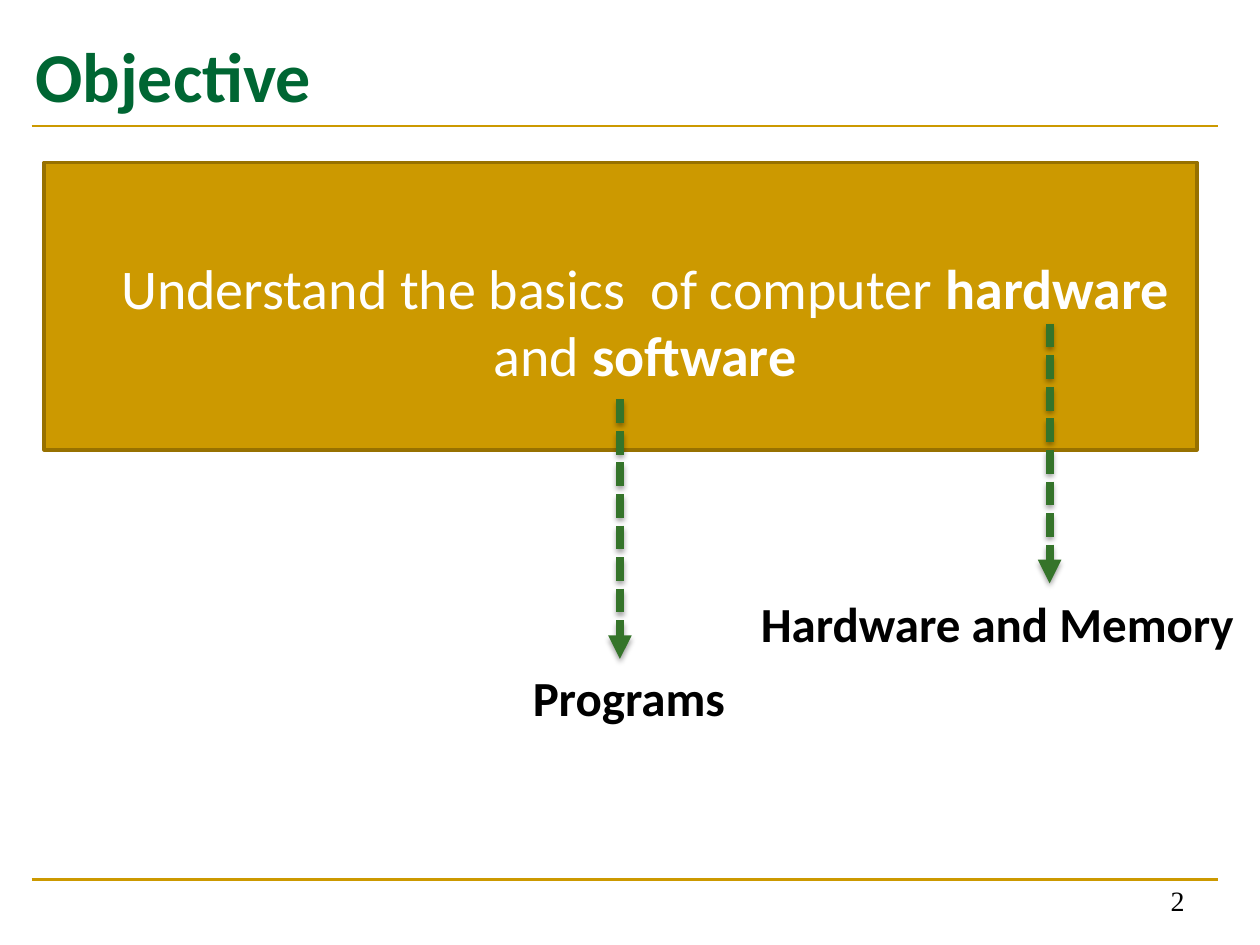
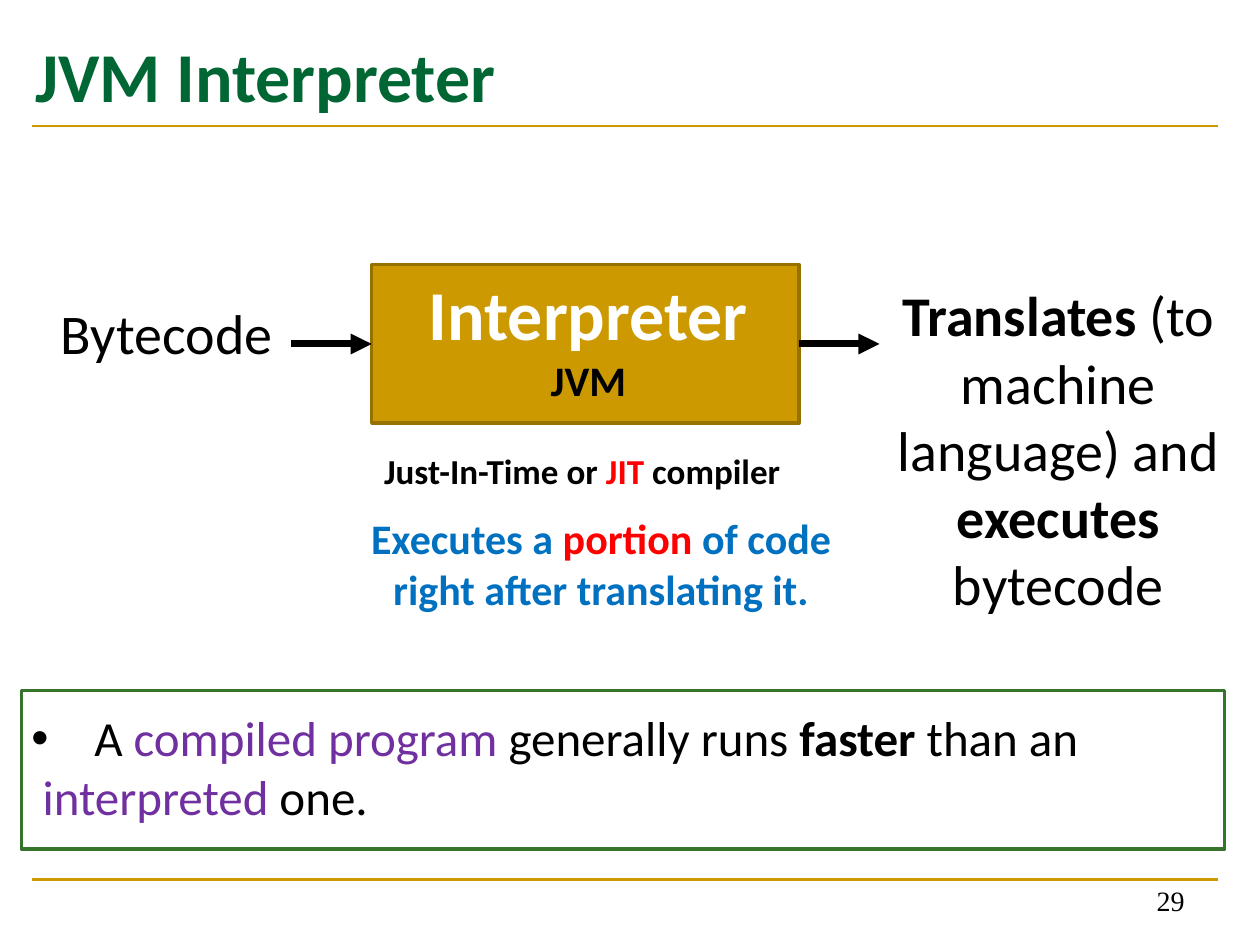
from lxml.etree import SubElement
from pptx import Presentation
from pptx.dml.color import RGBColor
from pptx.enum.dml import MSO_LINE_DASH_STYLE as Dash
from pptx.enum.shapes import MSO_CONNECTOR as Connector, MSO_SHAPE as Shape
from pptx.enum.text import MSO_ANCHOR as Anchor, MSO_AUTO_SIZE as AutoSize, PP_ALIGN as Align
from pptx.oxml.ns import qn
from pptx.util import Inches, Pt

COLOURS = {
    "gold": "CC9900", "dark gold": "977100", "title green": "006633",
    "green": "35742A", "white": "FFFFFF", "black": "000000",
    "red": "FF0000", "blue": "0070C0", "purple": "7030A0",
}
COLUMNS, ROWS = 100, 75
TITLE_ONLY = 5


def colour(name):
    return RGBColor.from_string(COLOURS[name])


class Board:
    """Holds the deck style and the current slide; lengths are grid columns and rows."""

    font = "Calibri"

    def __init__(self):
        self.deck = Presentation()
        self.deck.slide_width, self.deck.slide_height = Inches(10), Inches(7.5)
        self.page = None

    def place(self, across, down):
        return (round(self.deck.slide_width * across / COLUMNS),
                round(self.deck.slide_height * down / ROWS))

    def area(self, left, top, width, height):
        return self.place(left, top) + self.place(width, height)

    def start(self, title, number):
        self.page = self.deck.slides.add_slide(self.deck.slide_layouts[TITLE_ONLY])
        for row in (69.8, 10):
            self.line((2.5, row), (96.7, row), "gold", 1.5)
        box = self.page.shapes.title
        box.left, box.top, box.width, box.height = self.area(1.8, 2.1, 95.5, 11.7)
        self.set_lines(box, [[(title, "title green", True)]], 40, Align.LEFT)
        self.text((71.7, 68.3, 23.3, 5), [[(number, "black", False)]], 16, Align.RIGHT,
                  anchor=Anchor.BOTTOM, font="Times New Roman")

    def set_lines(self, box, lines, size, align, wrap=True, anchor=Anchor.TOP, font=None):
        """Fill a box with lines, each a list of (text, colour, bold) spans."""
        frame = box.text_frame
        frame.auto_size, frame.word_wrap, frame.vertical_anchor = AutoSize.NONE, wrap, anchor
        for index, line in enumerate(lines):
            para = frame.add_paragraph() if index else frame.paragraphs[0]
            para.alignment = align
            for words, ink, bold in line:
                span = para.add_run()
                span.text = words
                span.font.name, span.font.size = font or self.font, Pt(size)
                span.font.bold, span.font.color.rgb = bold, colour(ink)

    def text(self, area, lines, size, align=Align.CENTER, **options):
        box = self.page.shapes.add_textbox(*self.area(*area))
        self.set_lines(box, lines, size, align, **options)
        return box.text_frame.paragraphs

    def indent(self, para, margin, first=0, bullet=None):
        properties = para._p.get_or_add_pPr()
        properties.set("marL", str(self.place(margin, 0)[0]))
        properties.set("indent", str(self.place(first, 0)[0]))
        if bullet:
            SubElement(properties, qn("a:buFont"), typeface="Arial")
            SubElement(properties, qn("a:buChar"), char=bullet)

    def panel(self, area, edge, fill=None):
        panel = self.page.shapes.add_shape(Shape.RECTANGLE, *self.area(*area))
        panel.shadow.inherit = False
        if fill:
            panel.fill.solid()
            panel.fill.fore_color.rgb = colour(fill)
        else:
            panel.fill.background()
        panel.line.color.rgb, panel.line.width = colour(edge), Pt(2)

    def line(self, start, end, ink, width):
        """Draw a plain line; return it with its empty effect list."""
        line = self.page.shapes.add_connector(
            Connector.STRAIGHT, *self.place(*start), *self.place(*end))
        line.line.color.rgb, line.line.width = colour(ink), Pt(width)
        return line, SubElement(line._element.spPr, qn("a:effectLst"))

    def arrow(self, start, end, ink, width):
        line, effects = self.line(start, end, ink, width)
        SubElement(line.line._get_or_add_ln(), qn("a:tailEnd"), type="triangle")
        return line, effects

    def dashed_arrow(self, column, row):
        """Drop a dashed, softly shadowed arrow from a word to its label."""
        line, effects = self.arrow((column, row), (column, row + 20.6), "green", 4.5)
        line.line.dash_style = Dash.SQUARE_DOT
        shadow = SubElement(effects, qn("a:outerShdw"), blurRad=str(Pt(3.1)),
                            dist=str(Pt(1.8)), dir="5400000", rotWithShape="0")
        tint = SubElement(shadow, qn("a:srgbClr"), val=COLOURS["black"])
        SubElement(tint, qn("a:alpha"), val="35000")


def objective(board):
    board.start("Objective", "2")
    board.panel((3.5, 12.9, 91.5, 22.8), "dark gold", "gold")
    goal = board.text((2.2, 19.6, 94.2, 53.3), [[
        ("Understand the basics  of computer", "white", False), (" hardware ", "white", True),
        ("and ", "white", False), ("software", "white", True)]], 32)
    board.indent(goal[0], 3.8)
    for label, area, column, row in (
            ("Hardware and Memory", (59.4, 46.6, 40.8, 5.7), 83.3, 25.7),
            ("Programs", (41.3, 52.5, 18.1, 5.7), 49.2, 31.7)):
        board.dashed_arrow(column, row)
        board.text(area, [[(label, "black", True)]], 28, Align.LEFT, wrap=False)


def interpreter(board):
    board.start("JVM Interpreter", "29")
    left, width, middle, reach = 29.5, 33.9, 27.3, 6.4
    board.panel((left, 21, width, 12.6), "dark gold", "gold")
    names = board.text((32.9, 21, 27.6, 11.8), [
        [("Interpreter", "white", True)], [("JVM", "black", True)]], 40, wrap=False)
    names[1].runs[0].font.size = Pt(24)
    for start in (left - reach, left + width):
        board.arrow((start, middle), (start + reach, middle), "black", 4)
    board.text((2.6, 23.2, 21.3, 6.4), [[("Bytecode", "black", False)]], 32)
    board.text((69.1, 21.8, 29.8, 27.9), [
        [("Translates", "black", True), (" (to machine language) and", "black", False)],
        [("executes", "black", True)],
        [("bytecode", "black", False)]], 32)
    board.text((29.5, 35.2, 34.5, 4.4), [
        [("Just-In-Time or ", "black", True), ("JIT", "red", True),
         (" compiler", "black", True)]], 20, Align.LEFT, wrap=False)
    board.text((28, 40.2, 39.4, 9.1), [
        [("Executes a ", "blue", True), ("portion", "red", True), (" of code", "blue", True)],
        [("right after translating it.", "blue", True)]], 24)
    remark = board.text((1.5, 55.7, 95.7, 10.4), [
        [("A ", "black", False), ("compiled program ", "purple", False),
         ("generally runs ", "black", False), ("faster", "black", True),
         (" than an", "black", False)],
        [("interpreted", "purple", False), (" one.", "black", False)]], 28, Align.LEFT)
    board.indent(remark[0], 5, -5, "•")
    board.indent(remark[1], 0.9)
    board.panel((1.7, 54.8, 95.5, 12.6), "green")


def main():
    board = Board()
    objective(board)
    interpreter(board)
    board.deck.save("out.pptx")


if __name__ == "__main__":
    main()
